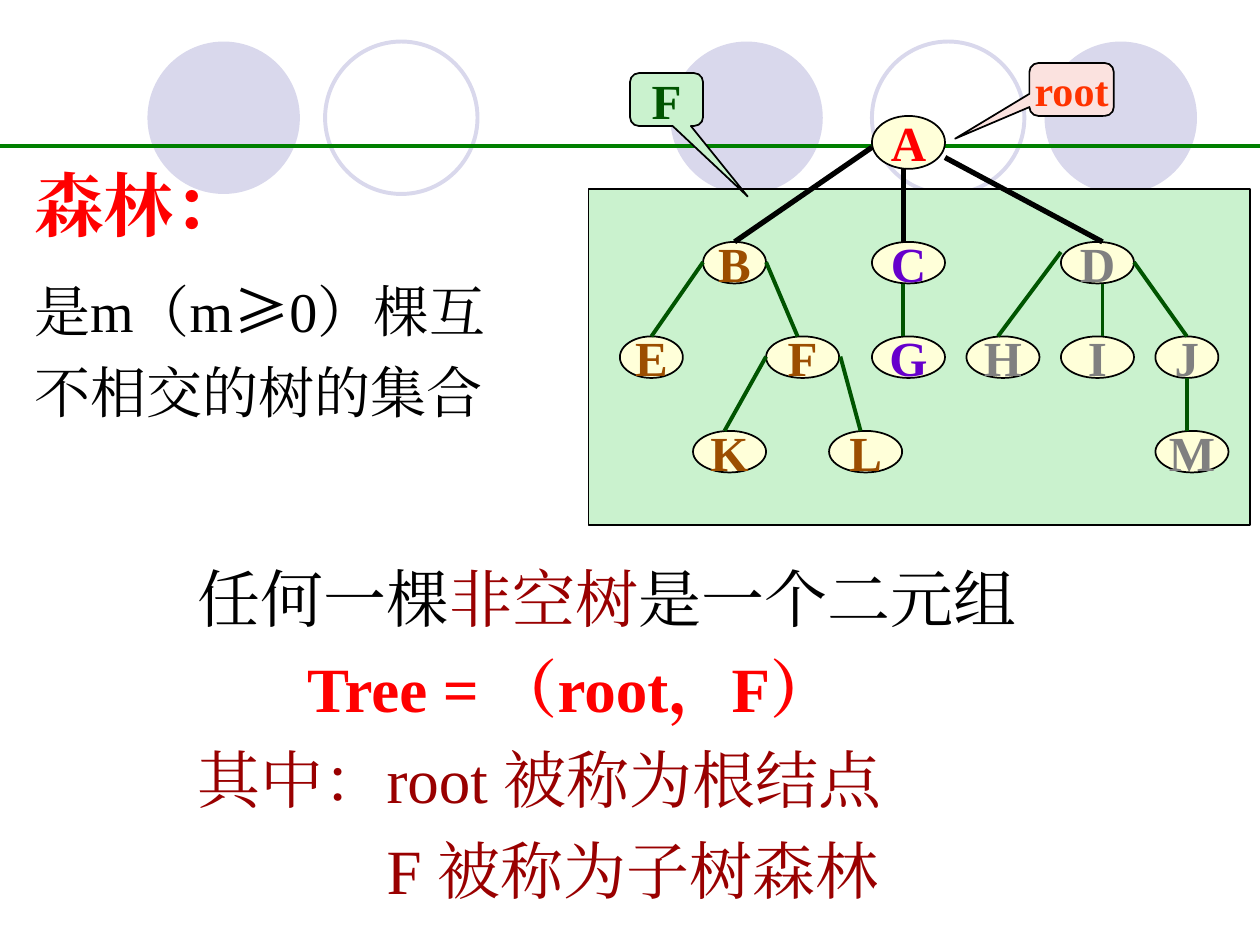
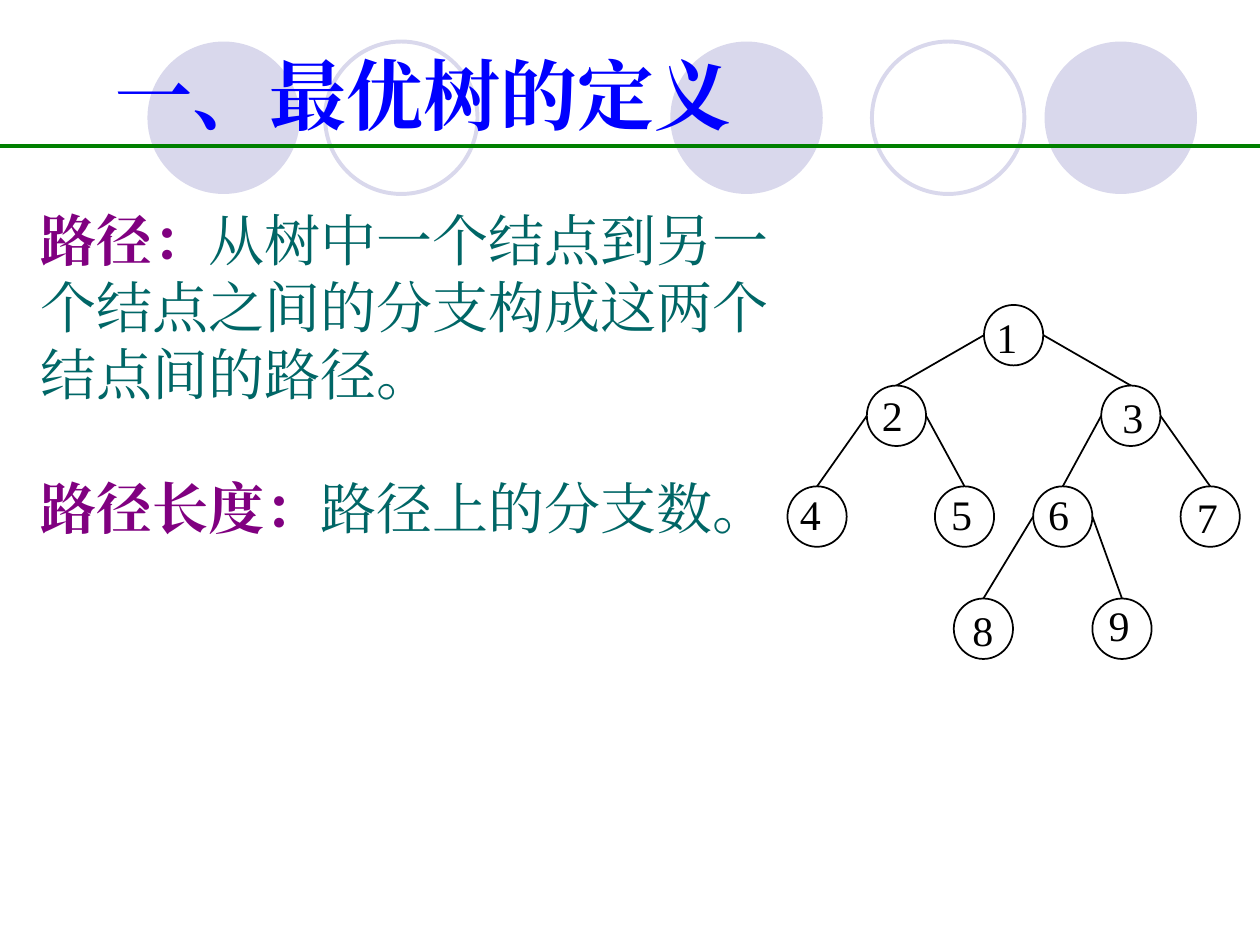
from lxml.etree import SubElement
from pptx import Presentation
from pptx.dml.color import RGBColor as Rgb
from pptx.enum.shapes import MSO_CONNECTOR as Conn, MSO_SHAPE as Shape
from pptx.enum.text import MSO_ANCHOR as Anchor, MSO_AUTO_SIZE as Fit, PP_ALIGN as Align
from pptx.oxml.ns import qn
from pptx.util import Inches, Pt

HUES = {
    "band": "D9D8EC", "rule": "008000", "black": "000000", "red": "FF0000",
    "maroon": "990000", "cream": "FFFFD9", "mint": "CAF2CE", "pink": "FBE2DF",
    "orange": "FF3300", "brown": "9C4E00", "violet": "6600CC", "gray": "808080",
    "green": "005400", "blue": "0000FF", "purple": "800080", "teal": "006666",
}
SERIF, SANS = "Times New Roman", "Noto Sans CJK SC"


def hue(name):
    return Rgb.from_string(HUES[name])


def write(para, text, size=32, color="black", bold=False, face=SERIF):
    run = para.add_run()
    run.text = text
    font = run.font
    font.size, font.bold, font.name = Pt(size), bold, face
    font.color.rgb = hue(color)
    SubElement(run._r.get_or_add_rPr(), qn("a:ea")).set("typeface", face)


class Deck:
    """Holds the shared style and the current slide."""

    def __init__(self):
        self.show = Presentation()
        self.show.slide_width, self.show.slide_height = Inches(10), Inches(7.5)
        self.layout = self.show.slide_layouts[1]
        self.slide = None

    def start(self):
        first = self.slide is None
        self.slide = self.show.slides.add_slide(self.layout)
        if first:
            self.band()

    def band(self):
        parts = [self.shape(Shape.OVAL, x, 0.33, 1.21, 1.21, fill="band", line=None)
                 for x in (1.17, 5.32, 8.29)]
        parts += [self.shape(Shape.OVAL, x, 0.33, 1.21, 1.21, line="band", width=2.25)
                  for x in (2.58, 6.92)]
        parts.append(self.link(0, 1.16, 10, 1.16, "rule", 2.5))
        for num, part in enumerate(parts, 20):
            part.element.xpath(".//p:cNvPr")[0].set("id", str(num))
            self.layout.shapes.element.append(part.element)

    def shape(self, kind, x, y, w, h, fill=None, line="black", width=1):
        item = self.slide.shapes.add_shape(kind, Inches(x), Inches(y), Inches(w), Inches(h))
        item.shadow.inherit = False
        if fill:
            item.fill.solid()
            item.fill.fore_color.rgb = hue(fill)
        else:
            item.fill.background()
        if line:
            item.line.color.rgb = hue(line)
            item.line.width = Pt(width)
        else:
            item.line.fill.background()
        return item

    def label(self, item, text, **style):
        frame = item.text_frame
        frame.word_wrap = False
        frame.vertical_anchor = Anchor.MIDDLE
        para = frame.paragraphs[0]
        para.alignment = Align.CENTER
        write(para, text, bold=True, **style)

    def node(self, text, x, y, w, h, color):
        item = self.shape(Shape.OVAL, x, y, w, h, fill="cream")
        self.label(item, text, size=28, color=color)

    def callout(self, text, x, y, w, tip, fill, **style):
        item = self.shape(Shape.ROUNDED_RECTANGULAR_CALLOUT, x, y, w, 0.42, fill=fill)
        for num, value in enumerate(tip):
            item.adjustments[num] = value
        self.label(item, text, **style)

    def link(self, x, y, to_x, to_y, color="black", width=1):
        line = self.slide.shapes.add_connector(
            Conn.STRAIGHT, Inches(x), Inches(y), Inches(to_x), Inches(to_y))
        line.line.color.rgb = hue(color)
        line.line.width = Pt(width)
        SubElement(line.element.spPr, qn("a:effectLst"))
        return line

    def holder(self, num, x, y, w, h):
        item = self.slide.placeholders[num]
        item.left, item.top, item.width, item.height = map(Inches, (x, y, w, h))
        frame = item.text_frame
        frame.auto_size, frame.word_wrap = Fit.NONE, True
        frame.vertical_anchor = Anchor.TOP
        return frame

    def box(self, x, y, w, h, wrap=False):
        item = self.slide.shapes.add_textbox(Inches(x), Inches(y), Inches(w), Inches(h))
        item.text_frame.word_wrap = wrap
        return item.text_frame

    def para(self, frame, *runs, first=False, indent=0, pitch=1.0, before=0):
        para = frame.paragraphs[0] if first else frame.add_paragraph()
        props = para._p.get_or_add_pPr()
        props.set("marL", str(Inches(indent)))
        props.set("indent", "0")
        SubElement(props, qn("a:buNone"))
        para.alignment = Align.LEFT
        para.line_spacing, para.space_before = pitch, Pt(before)
        for text, style in runs:
            write(para, text, **style)


def forest(deck):
    deck.start()
    title = deck.holder(0, 0.17, 1.1, 3.49, 0.9)
    deck.para(title, ("森林：", dict(size=40, color="red", bold=True)), first=True, pitch=1.2)
    body = deck.holder(1, 0.17, 2.04, 4.17, 2.1)
    deck.para(body, ("是m（m", {}), ("≥", dict(face=SANS)), ("0）棵互", {}),
              first=True, pitch=1.2)
    deck.para(body, ("不相交的树的集合", {}), pitch=1.2)

    note = deck.box(1.47, 4.27, 6.7, 2.98)
    plain, dark = dict(size=36), dict(size=36, color="maroon")
    deck.para(note, ("任何一棵", plain), ("非空树", dark), ("是一个二元组", plain),
              first=True, pitch=1.2)
    deck.para(note, ("Tree = （root，F）", dict(size=36, color="red", bold=True)),
              indent=0.87, pitch=1.2)
    deck.para(note, ("其中：root 被称为根结点", dark), pitch=1.2)
    deck.para(note, ("F 被称为子树森林", dark), indent=1.5, pitch=1.2)

    deck.node("A", 6.92, 0.92, 0.58, 0.42, "red")
    deck.callout("root", 8.17, 0.5, 0.67, (-1.38, 0.93, 0.17), "pink", size=24, color="orange")
    deck.shape(Shape.RECTANGLE, 4.67, 1.5, 5.25, 2.67, fill="mint")
    rows = {
        1.92: [("B", 5.58, "brown"), ("C", 6.92, "violet"), ("D", 8.42, "gray")],
        2.67: [("E", 4.92, "brown"), ("F", 6.08, "brown"), ("G", 6.92, "violet"),
               ("H", 7.67, "gray"), ("I", 8.42, "gray"), ("J", 9.17, "gray")],
        3.42: [("K", 5.5, "brown"), ("L", 6.58, "brown"), ("M", 9.17, "gray")],
    }
    for y, row in rows.items():
        for text, x, color in row:
            deck.node(text, x, y, 0.5 if text in "BEJ" else 0.58, 0.33, color)
    twigs = {
        2.67: [(5.58, 2.08, 5.17), (6.08, 2.08, 6.33), (7.17, 2.25, 7.17),
               (8.42, 2, 7.92), (8.75, 2.25, 8.75), (9, 2.08, 9.42)],
        3.42: [(6.08, 2.83, 5.75), (6.67, 2.83, 6.83), (9.42, 3, 9.42)],
    }
    for low, row in twigs.items():
        for x, y, to_x in row:
            deck.link(x, y, to_x, low, "green", 2.25)
    deck.callout("F", 5, 0.58, 0.58, (1.11, 1.83, 0.17), "mint", size=28, color="green")
    for x, y, to_x in ((6.92, 1.17, 5.83), (7.17, 1.33, 7.17), (7.5, 1.25, 8.75)):
        deck.link(x, y, to_x, 1.92, width=3)


def best(deck):
    deck.start()
    title = deck.holder(0, 0.82, 0.33, 6.01, 0.84)
    deck.para(title, ("一、最优树的定义", dict(size=44, color="blue", bold=True)), first=True)
    body = deck.holder(1, 0.22, 1.58, 6.11, 2.77)
    term, text = dict(color="purple", bold=True), dict(color="teal")
    deck.para(body, ("路径：", term),
              ("从树中一个结点到另一个结点之间的分支构成这两个结点间的路径。", text), first=True)
    deck.para(body, ("路径长度：", term), ("路径上的分支数。", text), before=38)

    wide, high = 0.47, 0.48
    nodes = {
        1: (7.81, 2.42, 0, 0), 2: (6.88, 3.06, 0.02, -0.02), 3: (8.74, 3.06, 0.07, 0),
        4: (6.25, 3.86, 0, -0.03), 5: (7.42, 3.86, 0.03, -0.03),
        6: (8.2, 3.86, 0.02, -0.03), 7: (9.37, 3.86, 0.03, -0.01),
        8: (7.57, 4.75, 0.05, 0), 9: (8.67, 4.75, 0.03, -0.04),
    }
    for x, y, _, _ in nodes.values():
        deck.shape(Shape.OVAL, x, y, wide, high)
    for top, kids in {1: (2, 3), 2: (4, 5), 3: (6, 7), 6: (8, 9)}.items():
        x, y = nodes[top][:2]
        for side, kid in enumerate(kids):
            to_x, to_y = nodes[kid][:2]
            deck.link(x + side * wide, y + high / 2, to_x + wide / 2, to_y)
    for num, (x, y, right, down) in nodes.items():
        frame = deck.box(x + right, y + down, 0.36, 0.5)
        deck.para(frame, (str(num), dict(size=24)), first=True)


def main():
    deck = Deck()
    forest(deck)
    best(deck)
    deck.show.save("out.pptx")


if __name__ == "__main__":
    main()
